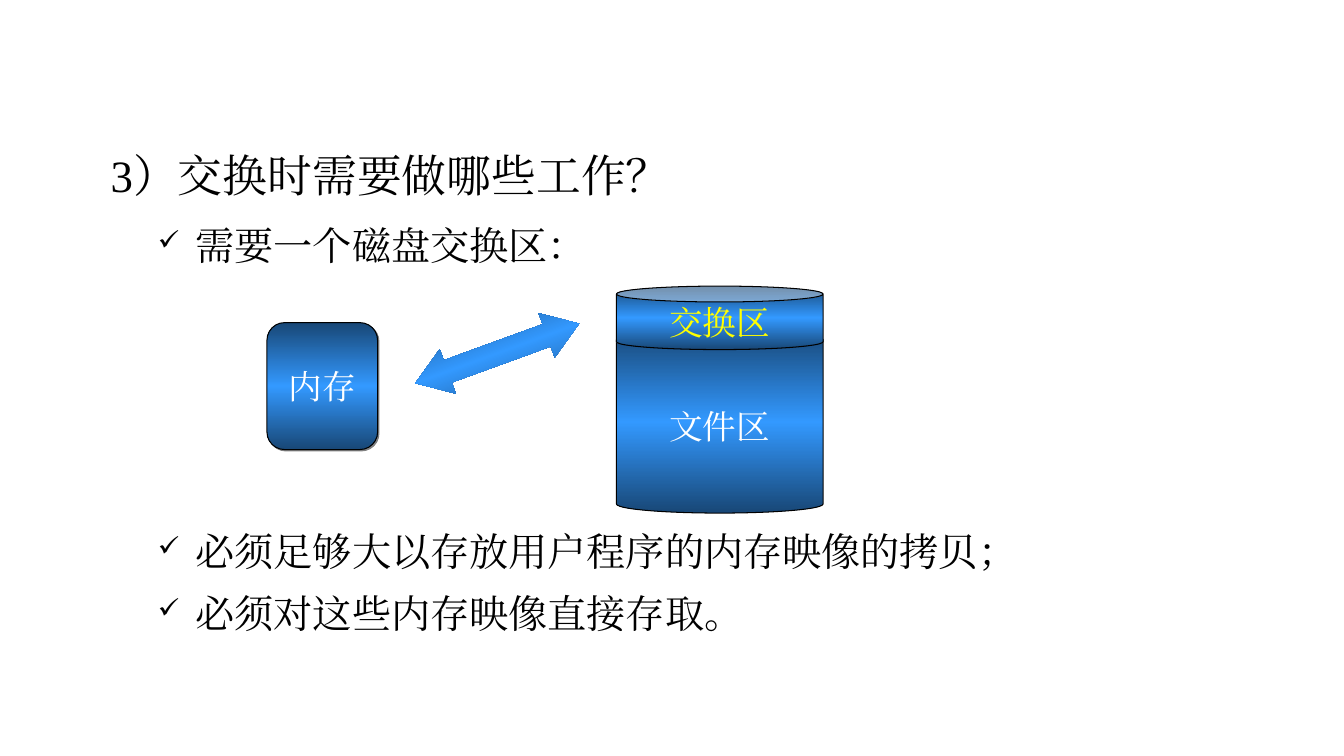
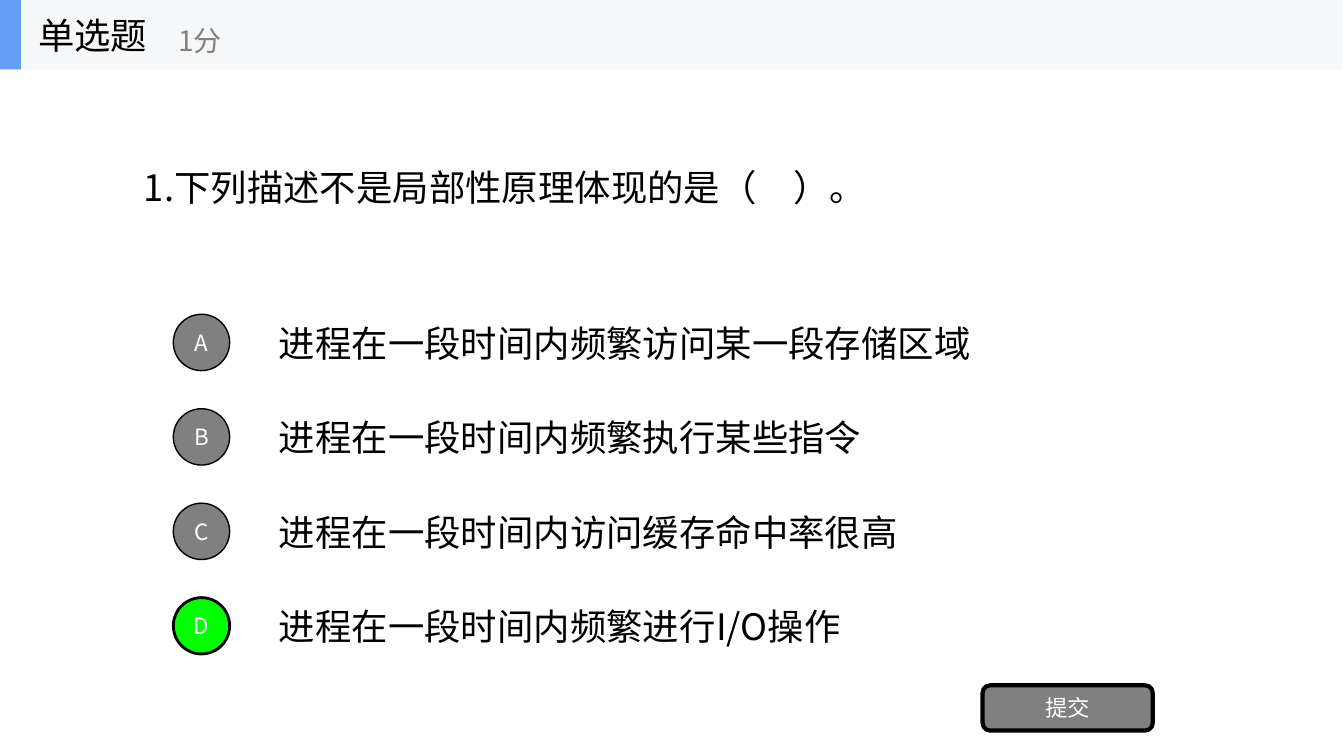
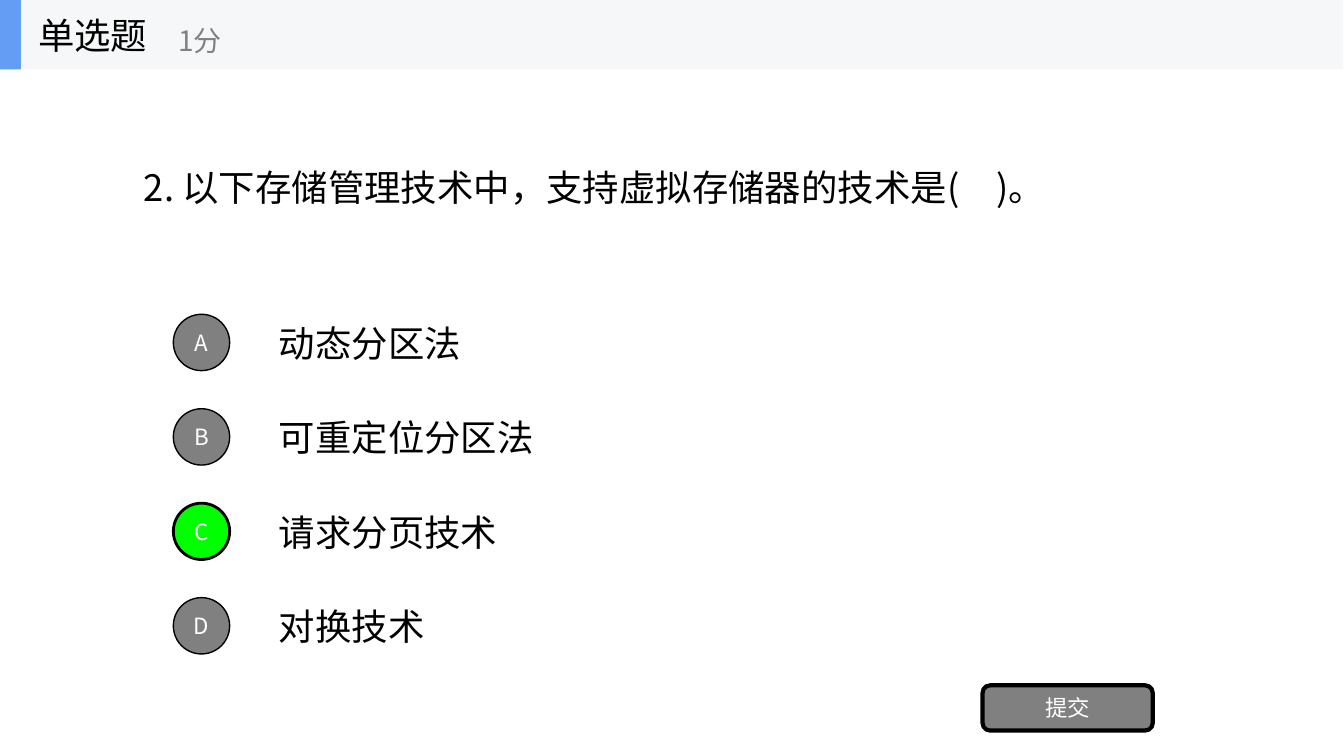
from copy import deepcopy
from dataclasses import dataclass

from lxml import etree
from pptx import Presentation
from pptx.dml.color import RGBColor
from pptx.enum.shapes import MSO_SHAPE
from pptx.enum.text import MSO_ANCHOR, PP_ALIGN
from pptx.oxml.ns import qn
from pptx.shapes.autoshape import Shape
from pptx.slide import Slide
from pptx.text.text import _Paragraph
from pptx.util import Cm, Pt

RECT, ROUND, OVAL = MSO_SHAPE.RECTANGLE, MSO_SHAPE.ROUNDED_RECTANGLE, MSO_SHAPE.OVAL
CAN, ARROW = MSO_SHAPE.CAN, MSO_SHAPE.LEFT_RIGHT_ARROW
TOP, MIDDLE = MSO_ANCHOR.TOP, MSO_ANCHOR.MIDDLE
LEFT, CENTER = PP_ALIGN.LEFT, PP_ALIGN.CENTER

BLACK = RGBColor(0x00, 0x00, 0x00)
WHITE = RGBColor(0xFF, 0xFF, 0xFF)
YELLOW = RGBColor(0xFF, 0xFF, 0x00)
GREEN = RGBColor(0x00, 0xFF, 0x00)
GRAY = RGBColor(0x80, 0x80, 0x80)
NAVY = RGBColor(0x18, 0x47, 0x76)
AZURE = RGBColor(0x33, 0x99, 0xFF)
PALE = RGBColor(0xF6, 0xF7, 0xF8)
BLUE = RGBColor(0x63, 0x9E, 0xF4)

SANS = "Noto Sans CJK SC"
SERIF = "Times New Roman"


@dataclass(frozen=True)
class Box:
    """Left, top, width and height in centimetres."""
    left: float
    top: float
    width: float
    height: float

    def place(self) -> tuple[Cm, Cm, Cm, Cm]:
        return Cm(self.left), Cm(self.top), Cm(self.width), Cm(self.height)


@dataclass(frozen=True)
class Type:
    font: str
    size: float
    color: RGBColor = BLACK


@dataclass(frozen=True)
class Part:
    """One gradient piece of the swapping diagram."""
    kind: MSO_SHAPE
    box: Box
    adjust: tuple[float, ...]
    text: str = ""
    color: RGBColor = WHITE
    turn: float = 0
    lined: bool = True
    raised: bool = False


@dataclass(frozen=True)
class Point:
    text: str
    before: float


@dataclass(frozen=True)
class Quiz:
    ask: str
    picks: tuple[str, ...]
    answer: int


TITLE = Type(SERIF, 32)
BODY = Type(SERIF, 28)
PROSE = Type(SANS, 26)
SCORE = Type(SANS, 20, GRAY)
LABEL = Type(SANS, 16, WHITE)

HANG = 0.95
LINE = 1.1
PITCH = 2.38

POINTS = (
    Point("需要一个磁盘交换区：", 0),
    Point("必须足够大以存放用户程序的内存映像的拷贝；", 182),
    Point("必须对这些内存映像直接存取。", 7),
)

PARTS = (
    Part(CAN, Box(15.54, 8.33, 5.21, 4.6), (0.1,), "文件区"),
    Part(ROUND, Box(6.73, 8.13, 2.79, 3.2), (0.16,), "内存", raised=True),
    Part(CAN, Box(15.54, 7.21, 5.21, 1.6), (0.25,), "交换区", YELLOW),
    Part(ARROW, Box(10.34, 8.31, 4.39, 1.19), (0.5, 0.73), turn=340, lined=False),
)

QUIZZES = (
    Quiz("1.下列描述不是局部性原理体现的是（　）。",
         ("进程在一段时间内频繁访问某一段存储区域",
          "进程在一段时间内频繁执行某些指令",
          "进程在一段时间内访问缓存命中率很高",
          "进程在一段时间内频繁进行I/O操作"), 3),
    Quiz("2. 以下存储管理技术中，支持虚拟存储器的技术是(　)。",
         ("动态分区法", "可重定位分区法", "请求分页技术", "对换技术"), 2),
)


def add_run(para: _Paragraph, text: str, style: Type) -> None:
    run = para.add_run()
    run.text = text
    font = run.font
    font.size = Pt(style.size)
    font.color.rgb = style.color
    font.name = style.font
    east = etree.SubElement(run._r.get_or_add_rPr(), qn("a:ea"))
    east.set("typeface", style.font)


def add_text(slide: Slide, box: Box, text: str, style: Type,
             space: float = 1.0) -> None:
    frame = slide.shapes.add_textbox(*box.place()).text_frame
    frame.word_wrap = True
    frame.vertical_anchor = MIDDLE
    para = frame.paragraphs[0]
    para.alignment = LEFT
    para.line_spacing = space
    add_run(para, text, style)


def add_form(slide: Slide, kind: MSO_SHAPE, box: Box, fill: RGBColor | None = None,
             line: float = 0, text: str = "", style: Type = LABEL) -> Shape:
    """Add a preset shape; a line width of 0 means no outline."""
    form = slide.shapes.add_shape(kind, *box.place())
    form.shadow.inherit = False
    if fill is not None:
        form.fill.solid()
        form.fill.fore_color.rgb = fill
    if line:
        form.line.color.rgb = BLACK
        form.line.width = Pt(line)
    else:
        form.line.fill.background()
    if text:
        frame = form.text_frame
        frame.word_wrap = True
        frame.vertical_anchor = MIDDLE
        para = frame.paragraphs[0]
        para.alignment = CENTER
        add_run(para, text, style)
    return form


def shade(form: Shape) -> None:
    """Fill from navy through azure back to navy, top to bottom."""
    fill = form.fill
    fill.gradient()
    fill.gradient_angle = 90
    stops = form._element.spPr.find(qn("a:gradFill")).find(qn("a:gsLst"))
    stops.append(deepcopy(stops[0]))
    for stop, color, place in zip(fill.gradient_stops, (NAVY, AZURE, NAVY), (0, 0.5, 1)):
        stop.color.rgb = color
        stop.position = place


def drop_shadow(form: Shape) -> None:
    effects = form._element.spPr.find(qn("a:effectLst"))
    shadow = etree.SubElement(effects, qn("a:outerShdw"), dist=str(Pt(1.4)),
                              dir=str(45 * 60000), algn="ctr", rotWithShape="0")
    etree.SubElement(shadow, qn("a:srgbClr"), val=str(GRAY))


def add_check(para: _Paragraph) -> None:
    """Give the paragraph a hanging check mark."""
    props = para._p.get_or_add_pPr()
    props.set("marL", str(Cm(HANG)))
    props.set("indent", str(-Cm(HANG)))
    color = etree.SubElement(props, qn("a:buClr"))
    etree.SubElement(color, qn("a:srgbClr"), val=str(BLACK))
    etree.SubElement(props, qn("a:buSzPct"), val="70000")
    etree.SubElement(props, qn("a:buChar"), char="✓")


def add_points(slide: Slide, box: Box, points: tuple[Point, ...]) -> None:
    frame = slide.shapes.add_textbox(*box.place()).text_frame
    frame.word_wrap = True
    frame.vertical_anchor = TOP
    for i, point in enumerate(points):
        para = frame.add_paragraph() if i else frame.paragraphs[0]
        add_check(para)
        para.line_spacing = LINE
        if point.before:
            para.space_before = Pt(point.before)
        add_run(para, point.text, BODY)


def draw_swap(slide: Slide) -> None:
    add_text(slide, Box(2.54, 2.97, 24.92, 2.74), "3）交换时需要做哪些工作？", TITLE, LINE)
    add_points(slide, Box(3.73, 5.33, 23.01, 12.8), POINTS)
    for part in PARTS:
        form = add_form(slide, part.kind, part.box, line=0.75 if part.lined else 0,
                        text=part.text, style=Type(SERIF, 24, part.color))
        for i, value in enumerate(part.adjust):
            form.adjustments[i] = value
        form.rotation = part.turn
        shade(form)
        if part.raised:
            drop_shadow(form)


def draw_band(slide: Slide) -> None:
    add_form(slide, RECT, Box(0, 0, 33.86, 1.75), PALE)
    add_form(slide, RECT, Box(0, 0, 0.53, 1.75), BLUE)
    add_text(slide, Box(0.71, 0, 5.28, 1.75), "单选题", PROSE)
    add_text(slide, Box(4.24, 0.3, 6.35, 1.42), "1分", SCORE)


def draw_quiz(slide: Slide, quiz: Quiz) -> None:
    add_text(slide, Box(3.38, 1.75, 27.1, 5.94), quiz.ask, PROSE)
    for i, (mark, pick) in enumerate(zip("ABCD", quiz.picks)):
        down = i * PITCH
        right = i == quiz.answer
        add_text(slide, Box(6.78, 7.75 + down, 23.7, 1.78), pick, PROSE)
        add_form(slide, OVAL, Box(4.37, 7.92 + down, 1.42, 1.42),
                 GREEN if right else GRAY, 2 if right else 1, mark)
    add_form(slide, ROUND, Box(24.77, 17.27, 4.29, 1.14), GRAY, 3, "提交")
    draw_band(slide)


def main() -> None:
    deck = Presentation()
    deck.slide_width, deck.slide_height = Cm(33.88), Cm(19.05)
    blank = deck.slide_layouts[6]
    draw_swap(deck.slides.add_slide(blank))
    for quiz in QUIZZES:
        draw_quiz(deck.slides.add_slide(blank), quiz)
    deck.save("out.pptx")


if __name__ == "__main__":
    main()
